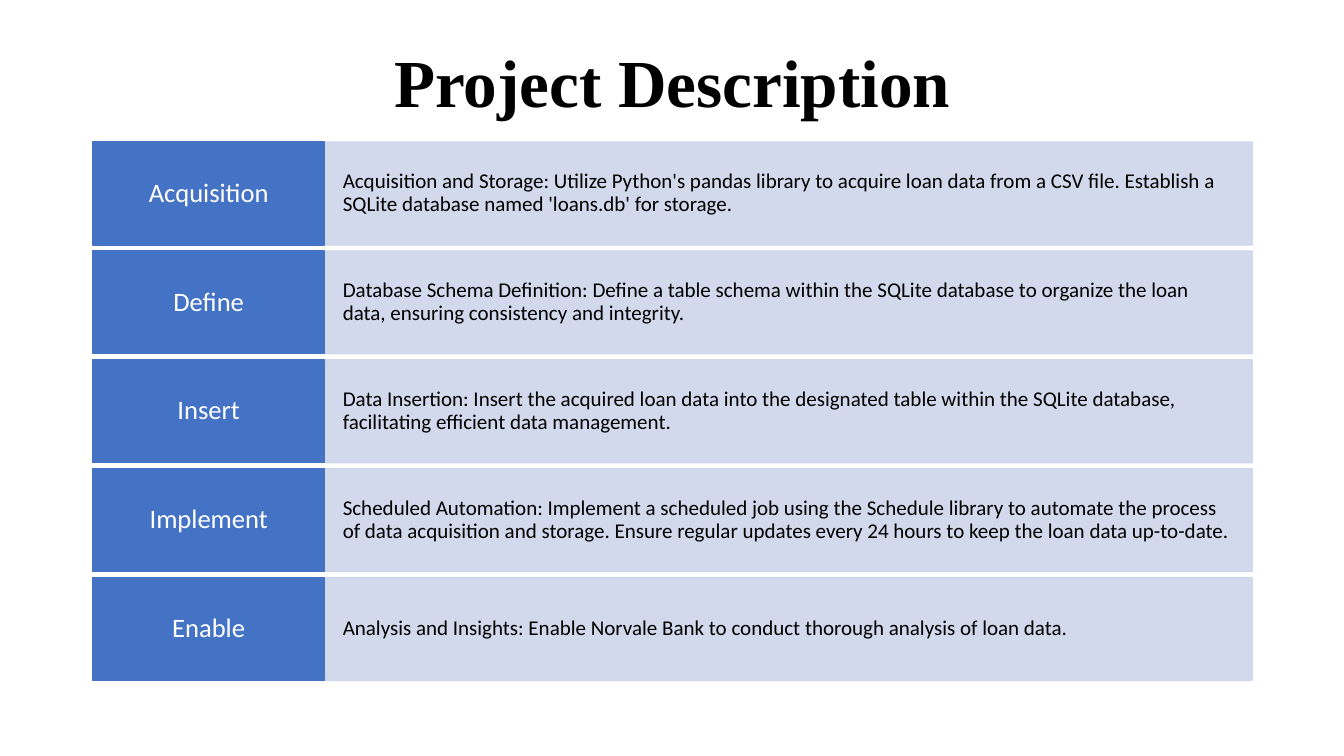
import dataclasses

import pptx
import pptx.util
import pptx.dml.color
import pptx.enum.shapes
import pptx.enum.text
import pptx.oxml
import pptx.oxml.ns

Inches = pptx.util.Inches
Align = pptx.enum.text.PP_ALIGN


@dataclasses.dataclass
class Theme:
    blue: str = "4472C4"
    pale: str = "CFD5EA"
    black: str = "000000"
    white: str = "FFFFFF"
    serif: str = "Times New Roman"
    sans: str = "Calibri"
    title: int = 48
    label: int = 19
    body: int = 15


theme = Theme()


def write(frame, text, size, face, color, align, bold=False):
    frame.word_wrap = True
    frame.auto_size = pptx.enum.text.MSO_AUTO_SIZE.NONE
    frame.vertical_anchor = pptx.enum.text.MSO_ANCHOR.MIDDLE
    para = frame.paragraphs[0]
    para.alignment = align
    para.line_spacing = 0.9
    run = para.add_run()
    run.text = text
    run.font.size = pptx.util.Pt(size)
    run.font.name = face
    run.font.bold = bold
    run.font.color.rgb = pptx.dml.color.RGBColor.from_string(color)


def block(left, top, width, color, pads, alpha=None):
    box = slide.shapes.add_shape(
        pptx.enum.shapes.MSO_SHAPE.RECTANGLE,
        Inches(left), Inches(top), Inches(width), Inches(high))
    box.shadow.inherit = False
    box.line.width = pptx.util.Pt(1)
    box.fill.solid()
    for paint in (box.fill, box.line.fill):
        paint.solid()
        paint.fore_color.rgb = pptx.dml.color.RGBColor.from_string(color)
    if alpha:
        for tint in box._element.spPr.iter(pptx.oxml.ns.qn("a:srgbClr")):
            tint.append(pptx.oxml.parse_xml(
                f'<a:alpha {pptx.oxml.ns.nsdecls("a")} val="{alpha * 1000}"/>'))
    frame = box.text_frame
    side, edge = pads
    frame.margin_left = frame.margin_right = Inches(side)
    frame.margin_top = frame.margin_bottom = Inches(edge)
    return frame


deck = pptx.Presentation()
deck.slide_width = Inches(13.33)
deck.slide_height = Inches(7.5)
slide = deck.slides.add_slide(deck.slide_layouts[5])

left, top, high, step = 0.92, 1.41, 1.02, 1.08
narrow, wide = 2.3, 9.2

title = slide.shapes.title
title.left, title.top = Inches(left), Inches(0.4)
title.width, title.height = Inches(narrow + wide), Inches(0.9)
write(title.text_frame, "Project Description", theme.title, theme.serif,
      theme.black, Align.CENTER, True)

stages = [
    ("Acquisition", "Acquisition and Storage: Utilize Python's pandas library to acquire "
     "loan data from a CSV file. Establish a SQLite database named 'loans.db' for storage."),
    ("Define", "Database Schema Definition: Define a table schema within the SQLite "
     "database to organize the loan data, ensuring consistency and integrity."),
    ("Insert", "Data Insertion: Insert the acquired loan data into the designated table "
     "within the SQLite database, facilitating efficient data management."),
    ("Implement", "Scheduled Automation: Implement a scheduled job using the Schedule "
     "library to automate the process of data acquisition and storage. Ensure regular "
     "updates every 24 hours to keep the loan data up-to-date."),
    ("Enable", "Analysis and Insights: Enable Norvale Bank to conduct thorough analysis "
     "of loan data."),
]

for row, (label, detail) in enumerate(stages):
    y = top + row * step
    frame = block(left + narrow, y, wide, theme.pale, (0.18, 0.26), 90)
    write(frame, detail, theme.body, theme.sans, theme.black, Align.LEFT)
    frame = block(left, y, narrow, theme.blue, (0.12, 0.1))
    write(frame, label, theme.label, theme.sans, theme.white, Align.CENTER)

deck.save("out.pptx")
